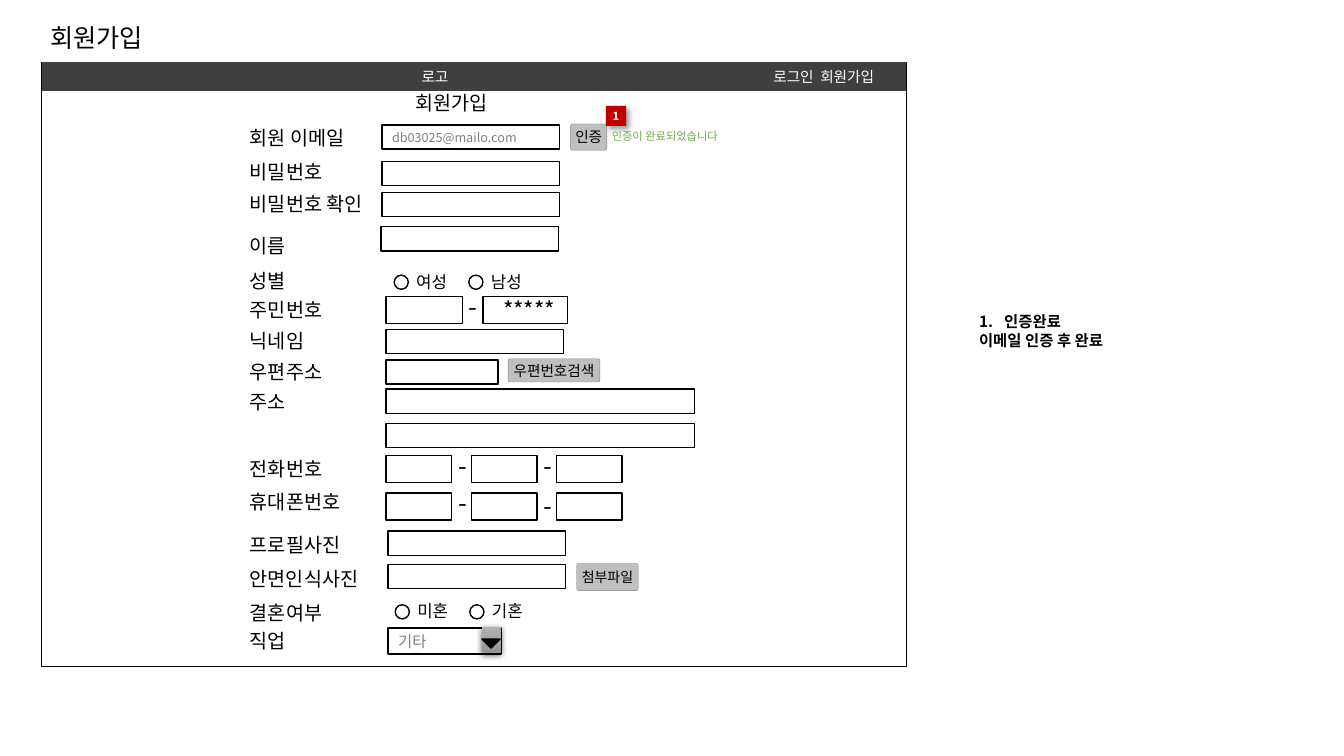
from dataclasses import dataclass
from lxml.etree import SubElement
from pptx import Presentation
from pptx.dml.color import RGBColor
from pptx.enum.shapes import MSO_SHAPE
from pptx.enum.text import MSO_ANCHOR, MSO_AUTO_SIZE, PP_ALIGN
from pptx.oxml import parse_xml
from pptx.oxml.ns import nsdecls, qn
from pptx.util import Inches, Pt

FONT = "Noto Sans CJK KR"
BLACK, WHITE, GRAY = "000000", "FFFFFF", "808080"
LEFT, MID = PP_ALIGN.LEFT, PP_ALIGN.CENTER
PAD = (0.1, 0.05, 0.1, 0.05)
FLAT = (0, 0, 0, 0)


@dataclass
class Label:
    text: str
    top: float
    wide: float = 1.21


@dataclass
class Field:
    left: float
    top: float
    wide: float = 1.76
    high: float = 0.24
    text: str = ""
    size: float = 11
    color: str = GRAY
    inset: float = 0.1


@dataclass
class Button:
    text: str
    left: float
    top: float
    wide: float
    high: float
    size: float = 10.5


@dataclass
class Choice:
    text: str
    left: float
    top: float
    drop: float


prs = Presentation()
prs.slide_width, prs.slide_height = Inches(13.33), Inches(7.5)
slide = prs.slides.add_slide(prs.slide_layouts[6])


def paint(code: str) -> RGBColor:
    return RGBColor.from_string(code)


def add_run(para, text: str, size: float, color: str = BLACK, bold: bool = False):
    run = para.add_run()
    run.text = text
    font = run.font
    font.size, font.name, font.bold = Pt(size), FONT, bold
    font.color.rgb = paint(color)
    props = run._r.get_or_add_rPr()
    SubElement(props, qn("a:ea")).set("typeface", FONT)
    return props


def set_frame(shape, pad: tuple, anchor=MSO_ANCHOR.MIDDLE):
    frame = shape.text_frame
    frame.word_wrap = True
    frame.vertical_anchor = anchor
    (frame.margin_left, frame.margin_top,
     frame.margin_right, frame.margin_bottom) = map(Inches, pad)
    return frame


def add_box(left: float, top: float, wide: float, high: float):
    return slide.shapes.add_textbox(*map(Inches, (left, top, wide, high)))


def add_form(kind, left: float, top: float, wide: float, high: float,
             fill: str = WHITE, line: str = BLACK, width: float = 1):
    form = slide.shapes.add_shape(kind, *map(Inches, (left, top, wide, high)))
    form.shadow.inherit = False
    form.fill.solid()
    form.fill.fore_color.rgb = paint(fill)
    if line:
        form.line.color.rgb = paint(line)
        form.line.width = Pt(width)
    else:
        form.line.fill.background()
    return form


def add_text(text: str, left: float, top: float, wide: float, high: float,
             size: float, color: str = BLACK) -> None:
    frame = set_frame(add_box(left, top, wide, high), PAD, MSO_ANCHOR.TOP)
    frame.auto_size = MSO_AUTO_SIZE.SHAPE_TO_FIT_TEXT
    add_run(frame.paragraphs[0], text, size, color)


def add_shade(form, alpha: int, blur: float, dist: float, angle: int) -> None:
    effect = form._element.spPr.find(qn("a:effectLst"))
    effect.append(parse_xml(
        f'<a:outerShdw {nsdecls("a")} blurRad="{Pt(blur)}" dist="{Pt(dist)}" '
        f'dir="{angle * 60000}" algn="ctr" rotWithShape="0"><a:srgbClr val="{BLACK}">'
        f'<a:alpha val="{alpha * 1000}"/></a:srgbClr></a:outerShdw>'))


def add_field(item: Field) -> None:
    form = add_form(MSO_SHAPE.RECTANGLE, item.left, item.top, item.wide, item.high)
    if item.text:
        para = set_frame(form, (item.inset, *PAD[1:])).paragraphs[0]
        para.alignment = LEFT
        add_run(para, item.text, item.size, item.color)


def add_button(item: Button) -> None:
    form = add_form(MSO_SHAPE.ROUNDED_RECTANGLE, item.left, item.top,
                    item.wide, item.high, "BFBFBF", GRAY, 0.25)
    form.adjustments[0] = 0.075
    para = set_frame(form, (0, 0.05, 0, 0.05)).paragraphs[0]
    para.alignment = MID
    add_run(para, item.text, item.size)


def add_choice(item: Choice) -> None:
    add_form(MSO_SHAPE.OVAL, item.left, item.top + item.drop, 0.14, 0.14)
    add_text(item.text, item.left + 0.12, item.top, 0.82, 0.3, 12)


def add_menu(words: list[str], left: float, wide: float) -> None:
    para = set_frame(add_box(left, 0.62, wide, 0.28), FLAT).paragraphs[0]
    para.alignment = MID
    for spot, word in enumerate(words):
        if spot:
            add_run(para, " ", 10.5, WHITE).set("spc", "235")
        add_run(para, word, 10.5, WHITE)


# Page frame and header bar
add_form(MSO_SHAPE.RECTANGLE, 0.41, 0.62, 8.58, 5.99)
add_form(MSO_SHAPE.RECTANGLE, 0.42, 0.62, 8.56, 0.28, "3F3F3F", "3F3F3F")
add_menu(["로고"], 3.96, 0.71)
add_menu(["로그인", "회원가입"], 7.55, 1.24)
add_text("회원가입", 0.4, 0.17, 2.46, 0.4, 18)
add_text("회원가입", 4.02, 0.85, 2.72, 0.34, 14)

# Form labels
for label in [
    Label("회원 이메일", 1.2, 1.28), Label("비밀번호", 1.54, 1.68),
    Label("비밀번호 확인", 1.86, 1.68), Label("이름", 2.27), Label("성별", 2.62),
    Label("주민번호", 2.91), Label("닉네임", 3.21, 1.15),
    Label("우편주소", 3.52, 1.68), Label("주소", 3.82, 1.68),
    Label("전화번호", 4.48), Label("휴대폰번호", 4.81),
    Label("프로필사진", 5.24, 1.28), Label("안면인식사진", 5.58, 1.53),
    Label("결혼여부", 5.91), Label("직업", 6.19),
]:
    add_text(label.text, 2.38, label.top, label.wide, 0.34, 14)

# Input fields, with three parts for each phone number
phones = [Field(3.83 + 0.845 * part, top, 0.65, 0.27)
          for top in (4.52, 4.89) for part in range(3)]
for field in [
    Field(3.79, 1.24, text="db03025@mailo.com", size=9),
    Field(3.79, 1.6), Field(3.79, 1.91), Field(3.78, 2.25),
    Field(3.83, 2.94, 0.76, 0.27),
    Field(3.83, 3.27), Field(3.83, 3.57, 1.11),
    Field(3.83, 3.86, 3.06), Field(3.83, 4.2, 3.06), *phones,
    Field(3.85, 5.27), Field(3.85, 5.6),
    Field(3.85, 6.23, 1.12, 0.26, "기타"),
    Field(4.79, 2.94, 0.84, 0.27, "*****", 16, BLACK, 0.2),
]:
    add_field(field)
for left, top in [(4.55, 2.84), (4.45, 4.42), (5.29, 4.42), (4.45, 4.79), (5.29, 4.82)]:
    add_text("-", left, top, 0.51, 0.4, 18)

# Radio choices and buttons
for choice in [Choice("여성", 3.91, 2.65, 0.08), Choice("남성", 4.65, 2.65, 0.08),
               Choice("미혼", 3.92, 5.91, 0.09), Choice("기혼", 4.66, 5.91, 0.09)]:
    add_choice(choice)
for button in [Button("인증", 5.66, 1.23, 0.36, 0.26),
               Button("우편번호검색", 5.04, 3.56, 0.91, 0.23),
               Button("첨부파일", 5.72, 5.59, 0.61, 0.27, 10)]:
    add_button(button)

# Drop-down arrow
knob = add_form(MSO_SHAPE.RECTANGLE, 4.78, 6.22, 0.19, 0.26, line="")
props = knob._element.spPr
stops = "".join(f'<a:gs pos="{spot * 1000}"><a:srgbClr val="{code}"/></a:gs>'
                for spot, code in ((0, "AFAFAF"), (50, "A5A5A5"), (100, "939393")))
props.replace(props.find(qn("a:solidFill")), parse_xml(
    f'<a:gradFill {nsdecls("a")} rotWithShape="1"><a:gsLst>{stops}</a:gsLst>'
    '<a:lin ang="5400000" scaled="0"/></a:gradFill>'))
add_shade(knob, 63, 4.5, 1.5, 90)
arrow = add_form(MSO_SHAPE.ISOSCELES_TRIANGLE, 4.78, 6.34, 0.18, 0.09, BLACK)
arrow._element.spPr.get_or_add_xfrm().set("flipV", "1")

# Numbered badge and status
badge = add_form(MSO_SHAPE.RECTANGLE, 6.01, 1.05, 0.2, 0.2, "C00000", "")
add_shade(badge, 40, 4, 3, 45)
frame = set_frame(badge, FLAT)
frame.word_wrap = False
frame.paragraphs[0].alignment = MID
add_run(frame.paragraphs[0], "1", 8, WHITE, True)
add_text("인증이 완료되었습니다", 5.97, 1.23, 2.2, 0.24, 8, "70AD47")

# Side note
note = set_frame(add_box(9.71, 0.59, 3.32, 5.96), (0, 0, 0, 0.57))
first = note.paragraphs[0]
props = first._p.get_or_add_pPr()
props.set("marL", str(Inches(0.25)))
props.set("indent", str(Inches(-0.25)))
SubElement(props, qn("a:buAutoNum")).set("type", "arabicPeriod")
add_run(first, "인증완료", 11, bold=True)
add_run(note.add_paragraph(), "이메일 인증 후 완료", 11, bold=True)

prs.save("out.pptx")
